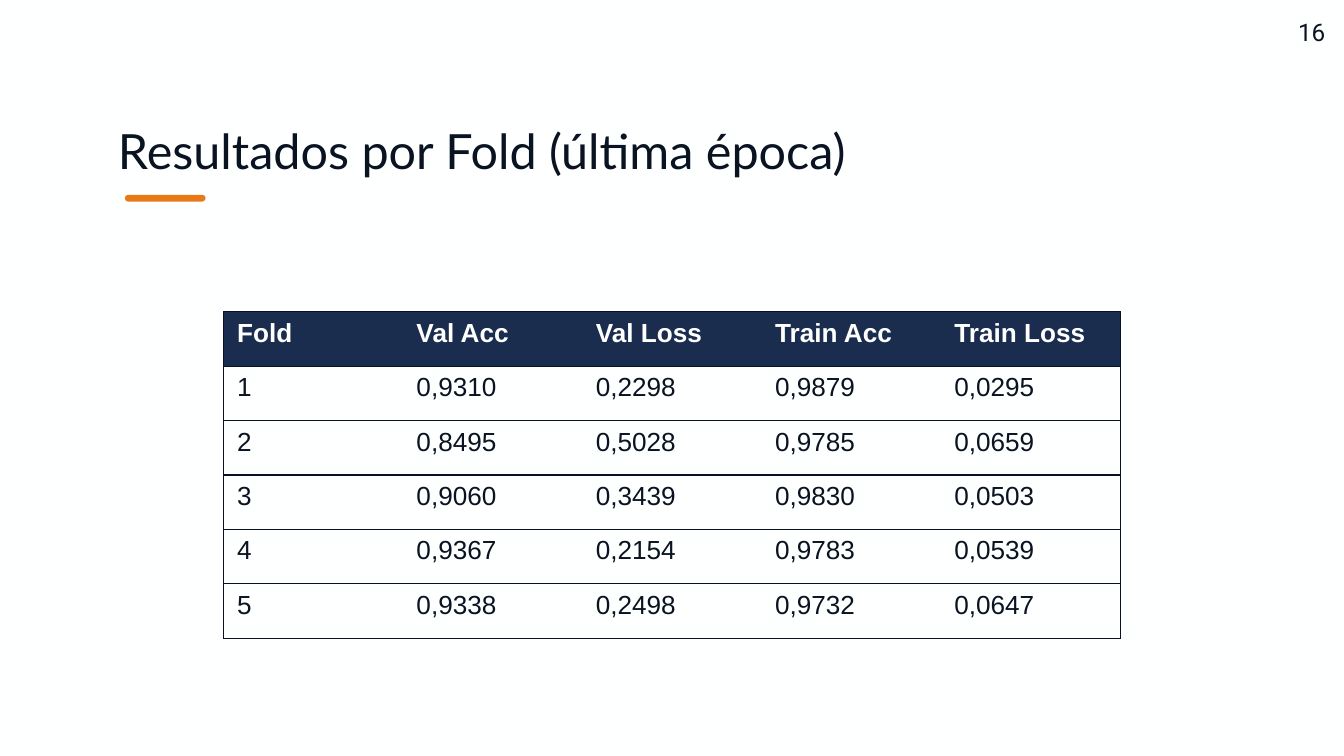
from lxml import etree
from pptx import Presentation
from pptx.dml.color import RGBColor
from pptx.enum.shapes import MSO_SHAPE
from pptx.enum.text import PP_ALIGN
from pptx.oxml.ns import qn
from pptx.util import Inches, Pt

ROUNDED = MSO_SHAPE.ROUNDED_RECTANGLE
LEFT, RIGHT = PP_ALIGN.LEFT, PP_ALIGN.RIGHT
BLANK_LAYOUT = 6

COLORS = {
    "background": "FEFFFF",
    "text": "0A1322",
    "accent": "E97917",
    "header": "1A2D4E",
    "header_text": "FFFFFF",
    "border": "091222",
}

RESULTS = [
    ["Fold", "Val Acc", "Val Loss", "Train Acc", "Train Loss"],
    ["1", "0,9310", "0,2298", "0,9879", "0,0295"],
    ["2", "0,8495", "0,5028", "0,9785", "0,0659"],
    ["3", "0,9060", "0,3439", "0,9830", "0,0503"],
    ["4", "0,9367", "0,2154", "0,9783", "0,0539"],
    ["5", "0,9338", "0,2498", "0,9732", "0,0647"],
]


def write(frame, text, font, size, color, bold=False, align=LEFT):
    """Fill a text frame with one formatted paragraph."""
    frame.text = text
    para = frame.paragraphs[0]
    para.alignment = align
    span = para.runs[0]
    span.font.name = font
    span.font.size = Pt(size)
    span.font.bold = bold
    span.font.color.rgb = RGBColor.from_string(COLORS[color])


def set_border(cell, side, visible):
    properties = cell._tc.get_or_add_tcPr()
    line = etree.SubElement(properties, qn("a:" + side), w=str(Pt(0.75)))
    if visible:
        fill = etree.SubElement(line, qn("a:solidFill"))
        etree.SubElement(fill, qn("a:srgbClr"), val=COLORS["border"])
    else:
        etree.SubElement(line, qn("a:noFill"))


# Widescreen page, 16:9
deck = Presentation()
deck.slide_width = Inches(10)
deck.slide_height = deck.slide_width * 9 // 16
page = deck.slides.add_slide(deck.slide_layouts[BLANK_LAYOUT])
page.background.fill.solid()
page.background.fill.fore_color.rgb = RGBColor.from_string(COLORS["background"])

# Title and page number
for text, font, size, align, place in [
    ("Resultados por Fold (última época)", "Lato", 26, LEFT, (0.78, 0.8, 8.44, 1.01)),
    ("16", "Roboto", 13, RIGHT, (9.36, 0.03, 0.6, 0.43)),
]:
    box = page.shapes.add_textbox(*map(Inches, place))
    frame = box.text_frame
    frame.word_wrap = True
    frame.margin_left = frame.margin_right = Inches(0.1)
    frame.margin_top = frame.margin_bottom = Inches(0.1)
    write(frame, text, font, size, "text", align=align)

# Accent bar under the title
bar = page.shapes.add_shape(ROUNDED, Inches(0.93), Inches(1.45), Inches(0.6), Inches(0.05))
bar.adjustments[0] = 0.5
bar.shadow.inherit = False
bar.fill.solid()
bar.fill.fore_color.rgb = RGBColor.from_string(COLORS["accent"])
bar.line.fill.background()

# Results table, centred: horizontal rules and an outer frame
row_count, column_count = len(RESULTS), len(RESULTS[0])
table_width = Inches(6.67)
table_left = (deck.slide_width - table_width) // 2
table = page.shapes.add_table(
    row_count, column_count, table_left, Inches(2.32), table_width, Inches(2.43)
).table
table.horz_banding = False

for row, values in enumerate(RESULTS):
    is_header = row == 0
    for column, value in enumerate(values):
        cell = table.cell(row, column)
        set_border(cell, "lnL", column == 0)
        set_border(cell, "lnR", column == column_count - 1)
        set_border(cell, "lnT", True)
        set_border(cell, "lnB", True)
        if is_header:
            cell.fill.solid()
            cell.fill.fore_color.rgb = RGBColor.from_string(COLORS["header"])
        else:
            cell.fill.background()
        color = "header_text" if is_header else "text"
        write(cell.text_frame, value, "Arial", 14, color, bold=is_header)

deck.save("out.pptx")
